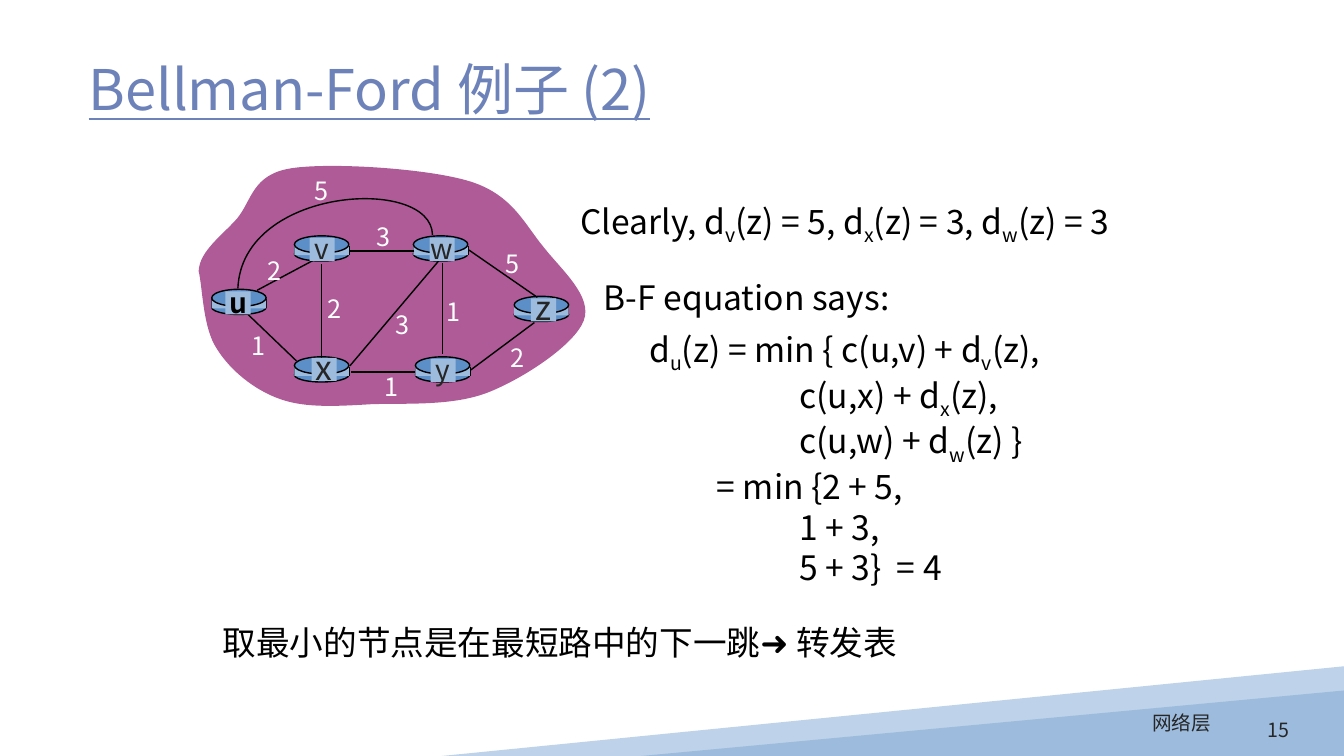
from lxml.etree import SubElement
from pptx import Presentation
from pptx.dml.color import RGBColor
from pptx.enum.shapes import MSO_CONNECTOR, MSO_SHAPE as Preset
from pptx.enum.text import MSO_ANCHOR as Anchor, PP_ALIGN as Align
from pptx.oxml.ns import qn
from pptx.util import Inches, Pt

FONT = "Noto Sans CJK SC"
WIDTH, HEIGHT = 13.33, 7.5
BLACK, DARK, WHITE = "000000", "262626", "FFFFFF"
BLUE, PALE, MIST, PURPLE, TITLE = "5C8FC7", "9DBCDD", "BED2E9", "AE5B97", "6E82BA"

BAND = [(WIDTH, 6.61), (WIDTH, 7.44), (8.97, HEIGHT), (4.38, HEIGHT)]
CLOUD = [
    (1.97, 2.69), (1.98, 2.49), (2.2, 2.34), (2.35, 2.17), (2.5, 1.99), (2.5, 1.73),
    (2.89, 1.67), (3.27, 1.61), (4.24, 1.67), (4.66, 1.8), (5.08, 1.93), (5.2, 2.22),
    (5.39, 2.45), (5.57, 2.68), (5.88, 2.94), (5.79, 3.18), (5.7, 3.42), (5.2, 3.75),
    (4.85, 3.89), (4.5, 4.03), (4.04, 4), (3.69, 4.01), (3.35, 4.03), (3.03, 4.05),
    (2.78, 3.96), (2.52, 3.87), (2.28, 3.67), (2.15, 3.46), (2.01, 3.25), (2.01, 2.85),
    (1.97, 2.69)]
ARC = [(4.29, 2.33), (4.28, 1.74), (2.4, 1.85), (2.36, 2.86)]

ROUTERS = [(2.1, 2.87), (2.92, 3.54), (2.92, 2.34), (4.1, 2.34), (4.12, 3.54), (5.1, 2.94)]
ROUTER_WIDTH, PATCH_WIDTH, PATCH_HEIGHT = 0.54, 0.25, 0.23
# name, size, patch top, then left, top, width and height of the text
NAMES = [("u", 20, 2.89, 2.17, 2.78, 0.38, 0.44), ("y", 20, 3.56, 4.22, 3.45, 0.35, 0.44),
         ("x", 24, 3.55, 3.03, 3.39, 0.37, 0.5), ("w", 20, 2.36, 4.17, 2.25, 0.43, 0.44),
         ("v", 20, 2.36, 3.02, 2.25, 0.35, 0.44), ("z", 24, 2.96, 5.2, 2.8, 0.38, 0.5)]
FIRST_LINK = (2.55, 2.88, 3.15, 2.56)
LINKS = [(4.39, 2.61, 4.39, 3.51), (3.19, 2.62, 3.19, 3.55), (3.47, 3.63, 4.35, 2.59),
         (4.67, 3.67, 5.3, 3.2), (4.12, 3.69, 3.48, 3.69), (2.94, 3.58, 2.46, 3.12),
         (4.11, 2.49, 3.47, 2.49), (5.33, 2.95, 4.65, 2.48)]
COSTS = [("2", 2.54, 2.48), ("2", 3.14, 2.86), ("1", 2.38, 3.23), ("3", 3.81, 3.02),
         ("1", 3.7, 3.63), ("1", 4.32, 2.89), ("2", 4.95, 3.35), ("5", 4.9, 2.41),
         ("3", 3.62, 2.15), ("5", 3.01, 1.69)]

CLEARLY = [(0, "Clearly, d_v_(z) = 5, d_x_(z) = 3, d_w_(z) = 3")]
EQUATION = [(0, "d_u_(z) = min { c(u,v) + d_v_(z),"), (1.49, "c(u,x) + d_x_(z),"),
            (1.49, "c(u,w) + d_w_(z) }"), (0.67, "= min {2 + 5,"),
            (1.49, "1 + 3,"), (1.49, "5 + 3}  = 4")]
STATEMENTS = [(CLEARLY, 5.66, 1.94, 6.03, 0.5), (EQUATION, 6.34, 3.21, 4.81, 2.52),
              ([(0, "取最小的节点是在最短路中的下一跳➜ 转发表")], 2.11, 6.12, 6.92, 0.5),
              ([(0, "B-F equation says:")], 5.89, 2.7, 3.21, 0.5)]


def color(value):
    return RGBColor.from_string(value)


def paint(shape, fill=None, line=None):
    shape.shadow.inherit = False
    if fill:
        shape.fill.solid()
        shape.fill.fore_color.rgb = color(fill)
    else:
        shape.fill.background()
    if line:
        shape.line.color.rgb = color(line)
        shape.line.width = Pt(1)
    else:
        shape.line.fill.background()


def add_preset(slide, preset, box, fill, line=None):
    shape = slide.shapes.add_shape(preset, *map(Inches, box))
    paint(shape, fill, line)
    return shape


def add_outline(slide, points, fill=None, line=None, curved=False):
    """Draw an outline; a curved one takes each three points after the first as a cubic."""
    corners = [(Inches(x), Inches(y)) for x, y in points]
    builder = slide.shapes.build_freeform(*corners[0])
    builder.add_line_segments(corners[1:], close=bool(fill))
    shape = builder.convert_to_shape()
    paint(shape, fill, line)
    if curved:
        segments = list(shape._element.iter(qn("a:lnTo")))
        for start in range(0, len(points) - 1, 3):
            first, *others = segments[start:start + 3]
            first.tag = qn("a:cubicBezTo")
            for other in others:
                first.append(other[0])
                other.getparent().remove(other)


def add_line(slide, *ends):
    line = slide.shapes.add_connector(MSO_CONNECTOR.STRAIGHT, *map(Inches, ends))
    line.line.color.rgb = color(BLACK)
    line.line.width = Pt(1)
    SubElement(line._element.spPr, qn("a:effectLst"))


def add_text(slide, lines, box, size, ink, align=Align.LEFT, anchor=Anchor.TOP,
             wrap=False, bold=False, underline=False, spacing=None):
    frame = slide.shapes.add_textbox(*map(Inches, box)).text_frame
    frame.word_wrap = wrap
    frame.vertical_anchor = anchor
    for index, (indent, text) in enumerate(lines):
        paragraph = frame.paragraphs[0] if index == 0 else frame.add_paragraph()
        paragraph.alignment = align
        paragraph.line_spacing = spacing
        if indent:
            paragraph._p.get_or_add_pPr().set("marL", str(Inches(indent)))
        font = paragraph.font
        font.size, font.name, font.bold, font.underline = Pt(size), FONT, bold, underline
        font.color.rgb = color(ink)
        SubElement(font._element, qn("a:ea")).set("typeface", FONT)
        for position, part in enumerate(text.split("_")):
            run = paragraph.add_run()
            run.text = part
            if position % 2:
                run._r.get_or_add_rPr().set("baseline", "-25000")


def add_router(slide, left, top):
    right, side = left + ROUTER_WIDTH, top + 0.1
    add_preset(slide, Preset.OVAL, (left, top + 0.11, ROUTER_WIDTH, 0.14), BLUE, BLACK)
    for x in (left, right):
        add_line(slide, x, side, x, side + 0.09)
    add_preset(slide, Preset.RECTANGLE, (left, side, ROUTER_WIDTH, 0.09), PALE)
    add_preset(slide, Preset.OVAL, (left, top, ROUTER_WIDTH, 0.17), BLUE, BLACK)


def add_router_name(slide, name, size, patch_top, *box):
    left, _, width, _ = box
    patch_left = left + (width - PATCH_WIDTH) / 2
    add_preset(slide, Preset.RECTANGLE,
               (patch_left, patch_top, PATCH_WIDTH, PATCH_HEIGHT), PALE)
    source = name == "u"
    add_text(slide, [(0, name)], box, size, BLACK if source else DARK,
             Align.CENTER, bold=source)


def main():
    presentation = Presentation()
    presentation.slide_width, presentation.slide_height = Inches(WIDTH), Inches(HEIGHT)
    slide = presentation.slides.add_slide(presentation.slide_layouts[6])

    add_outline(slide, BAND, MIST)
    wedge = add_preset(slide, Preset.ISOSCELES_TRIANGLE, (6.36, 6.85, 6.97, 0.65), PALE)
    wedge.adjustments[0] = 1
    add_text(slide, [(0, "15")], (11.9, 7, 0.99, 0.5), 14, DARK, Align.RIGHT,
             Anchor.MIDDLE, wrap=True, spacing=0.9)

    add_outline(slide, CLOUD, PURPLE, curved=True)
    add_line(slide, *FIRST_LINK)
    for router in ROUTERS:
        add_router(slide, *router)
    for link in LINKS:
        add_line(slide, *link)
    add_outline(slide, ARC, line=BLACK, curved=True)
    for name in NAMES:
        add_router_name(slide, *name)
    for cost, left, top in COSTS:
        add_text(slide, [(0, cost)], (left, top, 0.36, 0.4), 18, WHITE, Align.CENTER)

    for lines, *box in STATEMENTS:
        add_text(slide, lines, box, 24, BLACK)
    add_text(slide, [(0, "网络层")], (7.89, 7, 4.22, 0.5), 14, DARK, Align.RIGHT, wrap=True)
    add_text(slide, [(0, "Bellman-Ford 例子 (2)")], (0.78, 0.25, 11.33, 1.25), 40, TITLE,
             anchor=Anchor.MIDDLE, wrap=True, underline=True)
    presentation.save("out.pptx")


if __name__ == "__main__":
    main()
